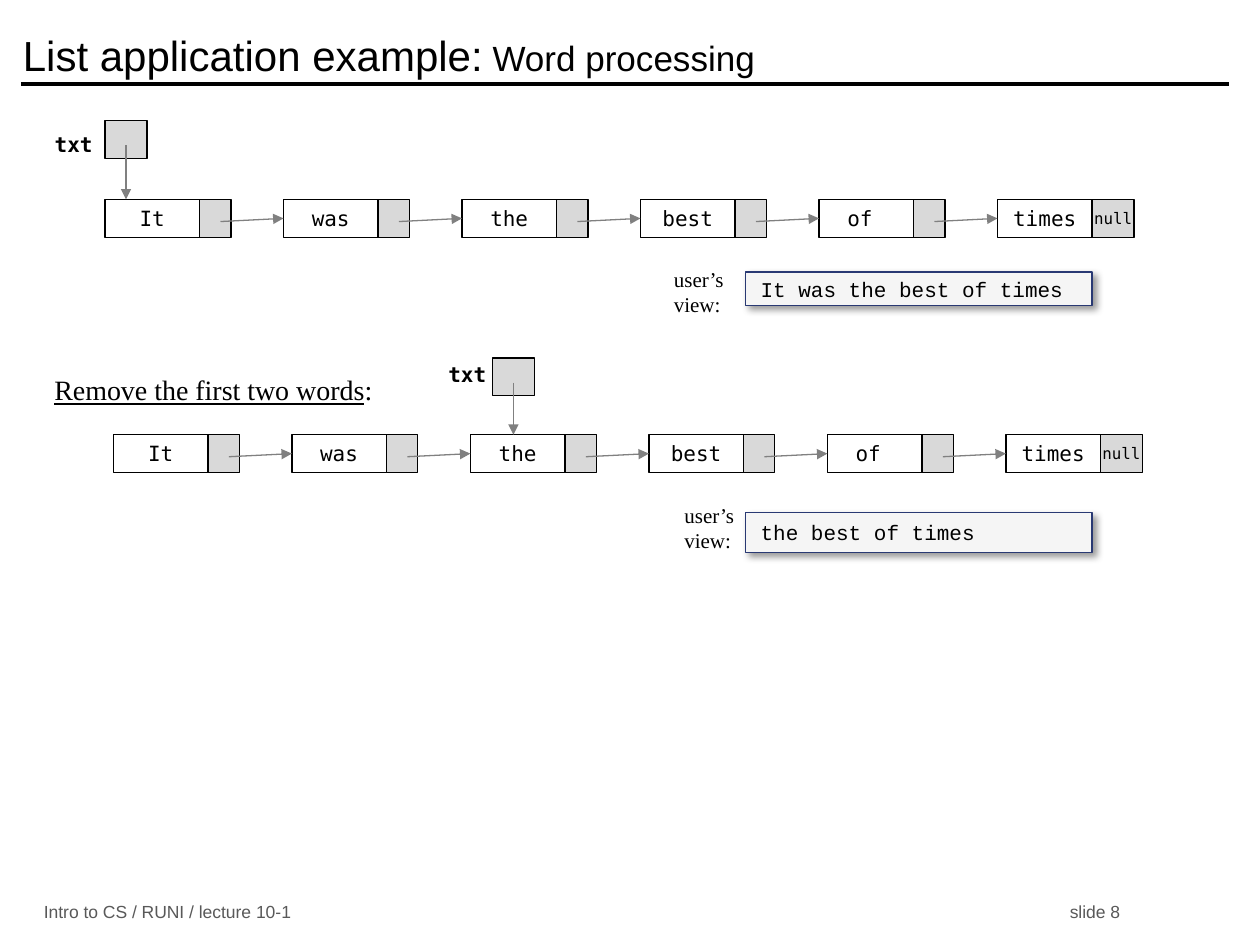
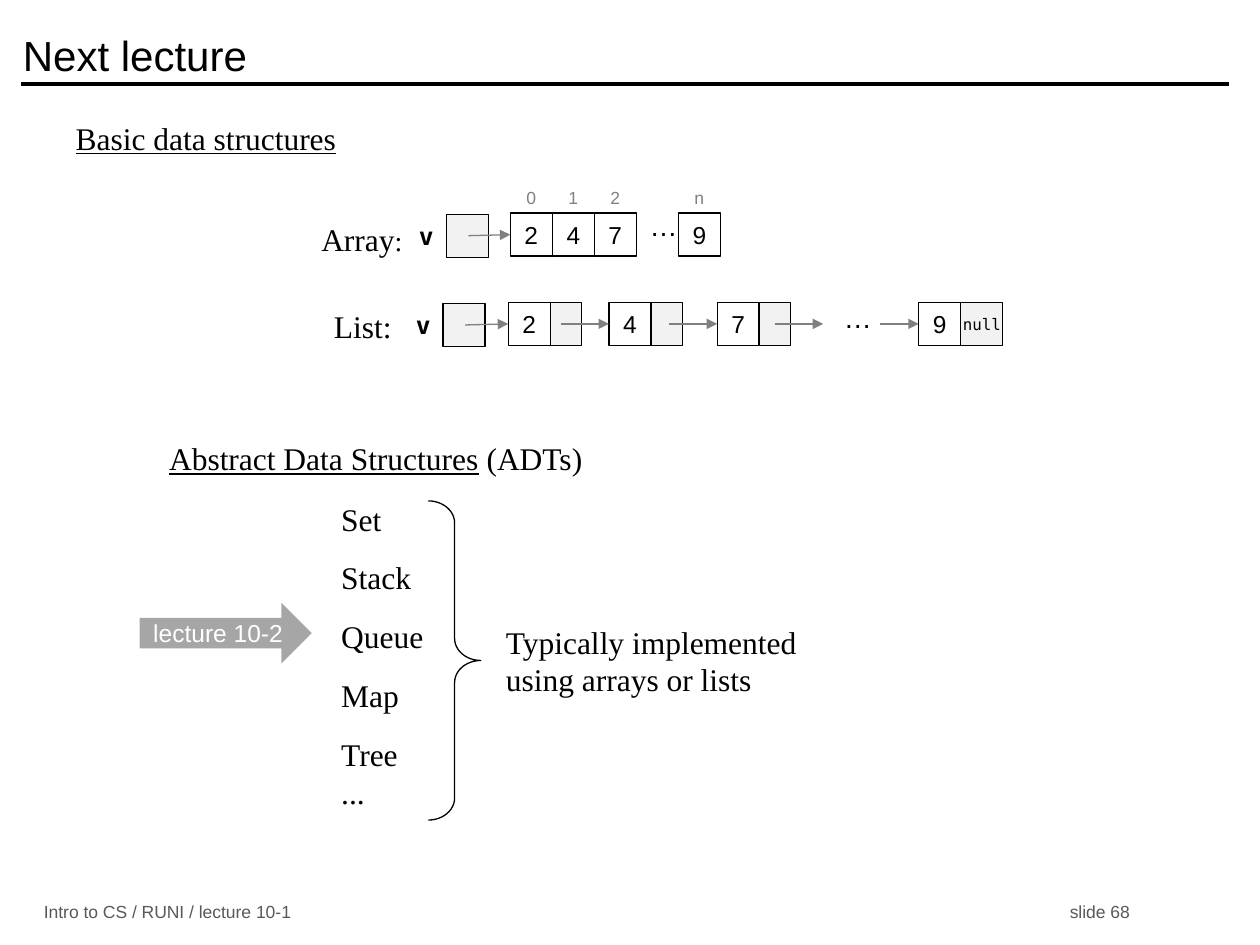
from pptx import Presentation, util as u
from pptx.dml.color import RGBColor
from pptx.enum import shapes, text
from pptx.oxml import parse_xml
from pptx.oxml.ns import nsdecls, qn

COLS, ROWS = 120, 90
UNIT = u.Inches(10) // COLS
INK = {"black": "000000", "white": "FFFFFF", "gray": "808080", "foot": "595959",
       "cell": "D9D9D9", "pale": "F2F2F2", "screen": "F5F5F5", "navy": "293973",
       "arrow": "A6A6A6"}
MONO, SERIF, SANS = "DejaVu Sans Mono", "Times New Roman", "Arial"
FONTS = {
    "title": (SANS, 24, "black"), "foot": (SANS, 10, "foot"),
    "word": (MONO, 12, "black"), "null": (MONO, 9, "black"),
    "name": (MONO, 14, "black"), "screen": ("Courier New", 12, "black"),
    "note": (SERIF, 12, "black"), "task": (SERIF, 16, "black"),
    "body": (SERIF, 18, "black"), "digit": (SANS, 14, "black"),
    "index": (SANS, 10, "gray"), "dots": (SANS, 16, "black"),
    "badge": (SANS, 14, "white"),
}
LEFT, MID, RIGHT = (text.PP_ALIGN.LEFT, text.PP_ALIGN.CENTER, text.PP_ALIGN.RIGHT)
TOP, CENTER = text.MSO_ANCHOR.TOP, text.MSO_ANCHOR.MIDDLE
LINE = {"underline": True}
BOLD = {"bold": True}


def grid(*vals):
    """Turn columns or rows of the grid into lengths."""
    return [u.Emu(round(v * UNIT)) for v in vals]


def rgb(name):
    return RGBColor.from_string(INK[name])


def apply(obj, vals):
    for key, val in vals.items():
        setattr(obj, key, val)


def write(shape, paras, style, align=LEFT, anchor=CENTER, inset=0, gaps=()):
    """Fill a shape with paragraphs, each a list of (words, format) runs."""
    frame = shape.text_frame
    apply(frame, {"word_wrap": True, "vertical_anchor": anchor,
                  "margin_left": u.Inches(inset),
                  "margin_right": u.Inches(min(inset, 0.1)),
                  "margin_top": u.Inches(0.05), "margin_bottom": u.Inches(0.05)})
    face, size, ink = FONTS[style]
    for i, runs in enumerate(paras):
        para = frame.paragraphs[0] if i == 0 else frame.add_paragraph()
        para.alignment = align
        if gaps:
            para.space_before = u.Pt(gaps[i])
        for words, extra in runs:
            run = para.add_run()
            run.text = words
            apply(run.font, {"name": face, "size": u.Pt(size), **extra})
            run.font.color.rgb = rgb(ink)


def label(sl, box, runs, style, anchor=TOP, inset=0.1, **more):
    if isinstance(runs, str):
        runs = [(runs, {})]
    shape = sl.shapes.add_textbox(*grid(*box))
    write(shape, [runs], style, anchor=anchor, inset=inset, **more)
    return shape


def draw(sl, box, fill=None, line="black", kind="RECTANGLE"):
    shape = sl.shapes.add_shape(getattr(shapes.MSO_SHAPE, kind), *grid(*box))
    shape.shadow.inherit = False
    if fill:
        shape.fill.solid()
        shape.fill.fore_color.rgb = rgb(fill)
    else:
        shape.fill.background()
    if line:
        shape.line.color.rgb = rgb(line)
        shape.line.width = u.Pt(0.75)
    else:
        shape.line.fill.background()
    return shape


def cell(sl, box, words="", style="word", fill=None):
    shape = draw(sl, box, fill)
    if words:
        write(shape, [[(words, {})]], style, MID)
    return shape


def link(sl, start, end, goal=None, ink="gray", width=0.75, head=True):
    """Draw a line, joined to the left side of goal if there is one."""
    line = sl.shapes.add_connector(shapes.MSO_CONNECTOR.STRAIGHT,
                                   *grid(*start, *end))
    line.line.color.rgb = rgb(ink)
    line.line.width = u.Pt(width)
    if head:
        line.line._get_or_add_ln().append(
            parse_xml(f'<a:tailEnd {nsdecls("a")} type="triangle"/>'))
    line._element.spPr.append(parse_xml(f'<a:effectLst {nsdecls("a")}/>'))
    if goal is not None:
        line.end_connect(goal, 1)


def frame(deck, title, number):
    """Add a blank slide with title, rule and footer."""
    sl = deck.slides.add_slide(deck.slide_layouts[6])
    link(sl, (2, 8), (117, 8), ink="black", width=2, head=False)
    label(sl, (1, 1.7, 115, 7), title, "title", CENTER)
    for col, wide, words in ((3, 60, "Intro to CS / RUNI / lecture 10-1"),
                             (100.7, 15, f"slide {number}")):
        label(sl, (col, 85.7, wide, 2.3), words, "foot", CENTER)
    return sl


def chain(sl, col, row):
    """Draw the linked words of the sentence from a top left corner."""
    wide, tail, high, step = 9, 3, 3.6, 17
    words = ["It", "was", "the", "best", "of ", "times"]
    for i, word in enumerate(words):
        x = col + i * step
        node = cell(sl, (x, row, wide, high), word)
        if i:
            link(sl, (x - 6, row + 2.1), (x, row + high / 2), node)
        if i < len(words) - 1:
            cell(sl, (x + wide, row, tail, high), fill="cell")
        else:
            cell(sl, (x + wide, row, tail + 1, high), "null", "null", "cell")


def point(sl, col, row, drop, shift):
    """Draw the txt variable and its arrow down to the row at drop."""
    cell(sl, (col, row, 4, 3.6), fill="cell")
    link(sl, (col + 2, row + 2.35), (col + 2, drop))
    dx, dy = shift
    label(sl, (col + dx, row + dy, 6, 3.2), [("txt", BOLD)], "word", align=RIGHT)


def view(sl, box, words, shift):
    """Draw the screen that the user sees, with its label."""
    screen = draw(sl, box, "screen", "navy")
    screen._element.spPr.find(qn("a:effectLst")).append(parse_xml(
        f'<a:outerShdw {nsdecls("a")} blurRad="{u.Pt(4)}" dist="{u.Pt(3)}" '
        f'dir="2700000"><a:srgbClr val="{INK["black"]}">'
        '<a:alpha val="40000"/></a:srgbClr></a:outerShdw>'))
    write(screen, [[(words, {})]], "screen", inset=0.12)
    dx, dy = shift
    label(sl, (box[0] + dx, box[1] + dy, 10, 5), "user’s view:", "note")


def head(sl, col, row, runs, wide=51):
    label(sl, (col, row, wide, 6.1), runs, "body", inset=0.2)


def start(sl, col, row, goal):
    """Draw the variable v and its arrow to the first cell."""
    label(sl, (col - 4.2, row, 3, 4.1), [("v", BOLD)], "name", CENTER, 0,
          align=RIGHT)
    cell(sl, (col, row, 4, 4.1), fill="pale")
    link(sl, (col + 2.1, row + 2.05), (col + 6.1, row + 2.05), goal)


def dots(sl, col, row):
    label(sl, (col, row, 4, 4.4), "…", "dots", inset=0, align=MID)


def array(sl, col, row):
    """Draw the array with its indices from its first cell."""
    side, high = 4, 4.1
    first = None
    for i, index, digit in ((0, "0", "2"), (1, "1", "4"), (2, "2", "7"),
                            (4, "n", "9")):
        x = col + i * side
        label(sl, (x, row - 3.1, side, 3.2), index, "index", inset=0, align=MID)
        box = cell(sl, (x, row, side, high), digit, "digit", "white")
        first = first or box
    dots(sl, col + 12.6, row - 1)
    start(sl, col - 6.1, row + 0.1, first)
    head(sl, col - 20.4, row + 0.1, [("Array", {}), (":", {"size": u.Pt(16)})], 12)


def nodes(sl, col, row):
    """Draw the linked list of digits from its first node."""
    side, tail, high, reach = 4, 3, 4.1, 4.6
    mid = row + high / 2
    spots = [col, col + 9.6, col + 19.9]
    first = None
    for x, digit in zip(spots, "247"):
        node = cell(sl, (x, row, side, high), digit, "digit")
        cell(sl, (x + side, row, tail, high), fill="pale")
        if first:
            link(sl, (x - reach, mid), (x, mid), node)
        first = first or node
    link(sl, (col + 25.4, mid), (col + 25.4 + reach, mid))
    dots(sl, col + 31.3, row - 0.8)
    last = col + 39.1
    node = cell(sl, (last, row, side, high), "9", "digit")
    cell(sl, (last + side, row, side, high), "null", "null", "pale")
    link(sl, (last - 3.7, mid), (last, mid), node)
    start(sl, col - 6.2, row + 0.1, first)
    head(sl, col - 19, row - 0.2, [("List:", {})], 10)


def types(sl, col, row):
    """List the abstract types with brace, remark and lecture arrow."""
    names = ["Set", "Stack", "Queue", "Map", "Tree", "..."]
    shape = sl.shapes.add_textbox(*grid(col, row, 13, 35))
    write(shape, [[(name, {})] for name in names], "body", anchor=TOP,
          inset=0.2, gaps=(0, 12, 12, 12, 12, 0))
    brace = draw(sl, (col + 10.7, row + 0.7, 5, 30.4), kind="RIGHT_BRACE")
    brace.adjustments[0] = 0.42
    label(sl, (col + 16.9, row + 11.7, 32, 8.4),
          "Typically implemented using arrays or lists", "body", CENTER)
    badge = draw(sl, (col - 16.8, row + 10.4, 16.4, 5.8), "arrow", None,
                 "RIGHT_ARROW")
    write(badge, [[("lecture 10-2", {})]], "badge", MID)


def words(deck):
    sl = frame(deck, [("List application example:", {}),
                      (" Word processing", {"size": u.Pt(20)})], 8)
    chain(sl, 10, 19)
    point(sl, 10, 11.5, 19, (-6, 0.4))
    view(sl, (71, 25.9, 33, 3.2), "It was the best of times", (-8, -1.1))
    label(sl, (4, 34.9, 36, 5), [("Remove the first two words", LINE), (":", {})],
          "task")
    chain(sl, 10.8, 41.4)
    point(sl, 46.9, 34.1, 41.4, (-5.4, -0.3))
    view(sl, (71, 48.8, 33, 3.8), "the best of times", (-7, -1.5))


def outlook(deck):
    sl = frame(deck, "Next lecture", 68)
    head(sl, 4.8, 10.7, [("Basic data structures", LINE)])
    array(sl, 48.6, 20.3)
    nodes(sl, 48.4, 28.8)
    head(sl, 13.7, 41.2, [("Abstract Data Structures", LINE), (" (ADTs)", {})])
    types(sl, 30.1, 47)


def main():
    deck = Presentation()
    deck.slide_width, deck.slide_height = grid(COLS, ROWS)
    words(deck)
    outlook(deck)
    deck.save("out.pptx")


if __name__ == "__main__":
    main()
